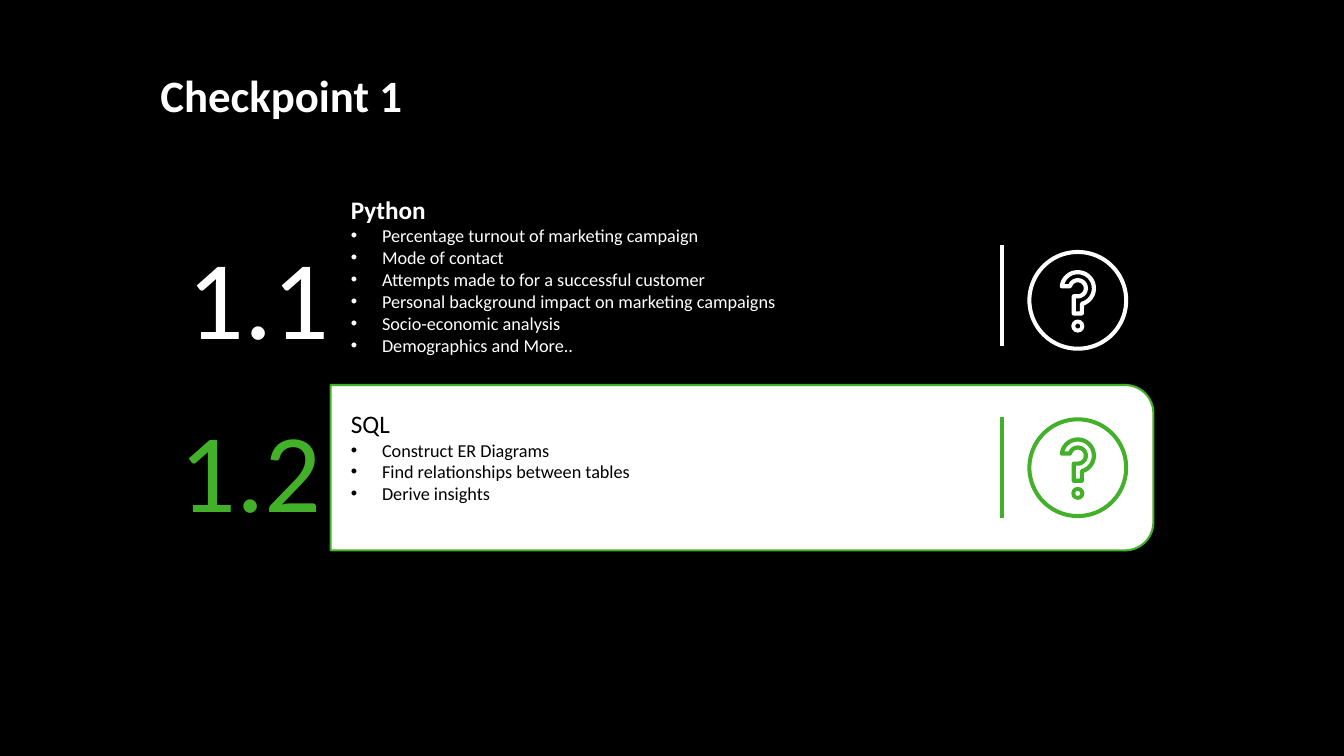
from math import cos, radians, sin

from lxml.etree import SubElement
from pptx import Presentation
from pptx.dml.color import RGBColor
from pptx.enum.shapes import MSO_CONNECTOR, MSO_SHAPE
from pptx.enum.text import MSO_ANCHOR, MSO_AUTO_SIZE, PP_ALIGN
from pptx.oxml.ns import qn
from pptx.util import Inches, Pt

BLACK, WHITE, GREEN = "000000", "FFFFFF", "43B02A"
ROWS = [
    {"box": (3.28, 1.93, 8.16, 1.82), "num": ("1.1", 1.86, 2.26),
     "rule": 2.43, "icon": 2.48, "fill": BLACK, "edge": None,
     "ink": WHITE, "mark": WHITE, "bold": True, "head": "Python",
     "list": ["Percentage turnout of marketing campaign", "Mode of contact",
              "Attempts made to for a successful customer",
              "Personal background impact on marketing campaigns",
              "Socio-economic analysis", "Demographics and More.."]},
    {"box": (3.28, 3.82, 8.16, 1.64), "num": ("1.2", 1.78, 3.97),
     "rule": 4.14, "icon": 4.14, "fill": WHITE, "edge": GREEN,
     "ink": BLACK, "mark": GREEN, "bold": False, "head": "SQL",
     "list": ["Construct ER Diagrams", "Find relationships between tables",
              "Derive insights"]},
]


def color(code):
    """Turn a hex string into a colour."""
    return RGBColor.from_string(code)


def apply(item, values):
    """Set each named value on an item."""
    for name, value in values.items():
        setattr(item, name, value)


def frame(text, left=0, top=0, right=0, low=0, **more):
    """Set insets and other values on a text frame."""
    apply(text, {"margin_left": Inches(left), "margin_top": Inches(top),
                 "margin_right": Inches(right), "margin_bottom": Inches(low),
                 **more})


def write(para, text, size, ink, bold=False):
    """Add one formatted run to a paragraph."""
    run = para.add_run()
    run.text = text
    apply(run.font, {"name": "Calibri", "size": Pt(size), "bold": bold})
    run.font.color.rgb = color(ink)
    para.alignment = PP_ALIGN.LEFT


def bullet(para):
    """Give a paragraph a hanging bullet."""
    props = para._p.get_or_add_pPr()
    props.set("marL", str(Inches(0.31)))
    props.set("indent", str(-Inches(0.31)))
    SubElement(props, qn("a:buFont")).set("typeface", "Arial")
    SubElement(props, qn("a:buChar")).set("char", "•")


def paint(shape, fill=None, edge=None, width=1.5):
    """Set the fill and line of a shape."""
    shape.shadow.inherit = False
    if fill:
        shape.fill.solid()
        shape.fill.fore_color.rgb = color(fill)
    else:
        shape.fill.background()
    if edge:
        shape.line.color.rgb = color(edge)
        shape.line.width = Pt(width)
    else:
        shape.line.fill.background()


def arc(x, y, radius, start, end):
    """List points on an arc, with angles clockwise from the right."""
    turns = [radians(start + (end - start) * i / 24) for i in range(25)]
    return [(x + radius * cos(t), y + radius * sin(t)) for t in turns]


def trace(shapes, points):
    """Draw a closed outline through points."""
    spots = [(Inches(x), Inches(y)) for x, y in points]
    path = shapes.build_freeform(*spots[0])
    path.add_line_segments(spots[1:], close=True)
    return path.convert_to_shape()


def panel(slide, row):
    """Draw a panel rounded on the right, with its heading and list."""
    x, y, wide, high = row["box"]
    end, low, bend = x + wide, y + high, 0.28
    shape = trace(slide.shapes, [
        (x, y), *arc(end - bend, y + bend, bend, -90, 0),
        *arc(end - bend, low - bend, bend, 0, 90), (x, low)])
    paint(shape, row["fill"], row["edge"])
    text = shape.text_frame
    frame(text, 0.2, 0, 1.97, 0.22, word_wrap=True,
          vertical_anchor=MSO_ANCHOR.MIDDLE)
    write(text.paragraphs[0], row["head"], 18, row["ink"], row["bold"])
    for line in row["list"]:
        para = text.add_paragraph()
        write(para, line, 13, row["ink"])
        bullet(para)


def number(slide, row):
    """Place the large row number."""
    label, x, y = row["num"]
    box = slide.shapes.add_textbox(*map(Inches, (x, y, 1.42, 1.35)))
    frame(box.text_frame, word_wrap=False,
          auto_size=MSO_AUTO_SIZE.SHAPE_TO_FIT_TEXT)
    write(box.text_frame.paragraphs[0], label, 80, row["mark"])


def rule(slide, x, y, ink):
    """Draw an upright rule one inch high."""
    line = slide.shapes.add_connector(
        MSO_CONNECTOR.STRAIGHT, *map(Inches, (x, y, x, y + 1)))
    line.line.color.rgb = color(ink)
    line.line.width = Pt(3)
    SubElement(line._element.spPr, qn("a:effectLst"))


def icon(slide, x, y, ink):
    """Draw a ringed question mark in a one-inch box."""
    shapes = slide.shapes.add_group_shape().shapes
    mid = x + 0.5
    for top, size in ((y, 1), (y + 0.69, 0.13)):
        ring = shapes.add_shape(MSO_SHAPE.DONUT, *map(
            Inches, (mid - size / 2, top, size, size)))
        ring.adjustments[0] = 0.04 / size
        paint(ring, ink)
    hub = y + 0.38
    hook = trace(shapes, [
        (mid - 0.04, y + 0.63), (mid + 0.04, y + 0.63),
        *arc(mid, hub, 0.16, 75, -173), *arc(mid, hub, 0.08, -165, 90),
        (mid - 0.04, hub + 0.08)])
    paint(hook, edge=ink, width=3)


def title(slide, text):
    """Place the slide title."""
    shape = slide.shapes.title
    apply(shape, {"left": Inches(1.59), "top": Inches(0.67),
                  "width": Inches(3.59), "height": Inches(0.54)})
    frame(shape.text_frame, word_wrap=True, vertical_anchor=MSO_ANCHOR.TOP,
          auto_size=MSO_AUTO_SIZE.SHAPE_TO_FIT_TEXT)
    para = shape.text_frame.paragraphs[0]
    para.space_before = Pt(6)
    write(para, text, 32, WHITE, True)


def main():
    """Build and save the slide."""
    deck = Presentation()
    apply(deck, {"slide_width": Inches(13.33), "slide_height": Inches(7.5)})
    slide = deck.slides.add_slide(deck.slide_layouts[5])
    slide.background.fill.solid()
    slide.background.fill.fore_color.rgb = color(BLACK)
    title(slide, "Checkpoint 1")
    for row in ROWS:
        panel(slide, row)
        number(slide, row)
        rule(slide, 9.94, row["rule"], row["mark"])
        icon(slide, 10.19, row["icon"], row["mark"])
    deck.save("out.pptx")


if __name__ == "__main__":
    main()
